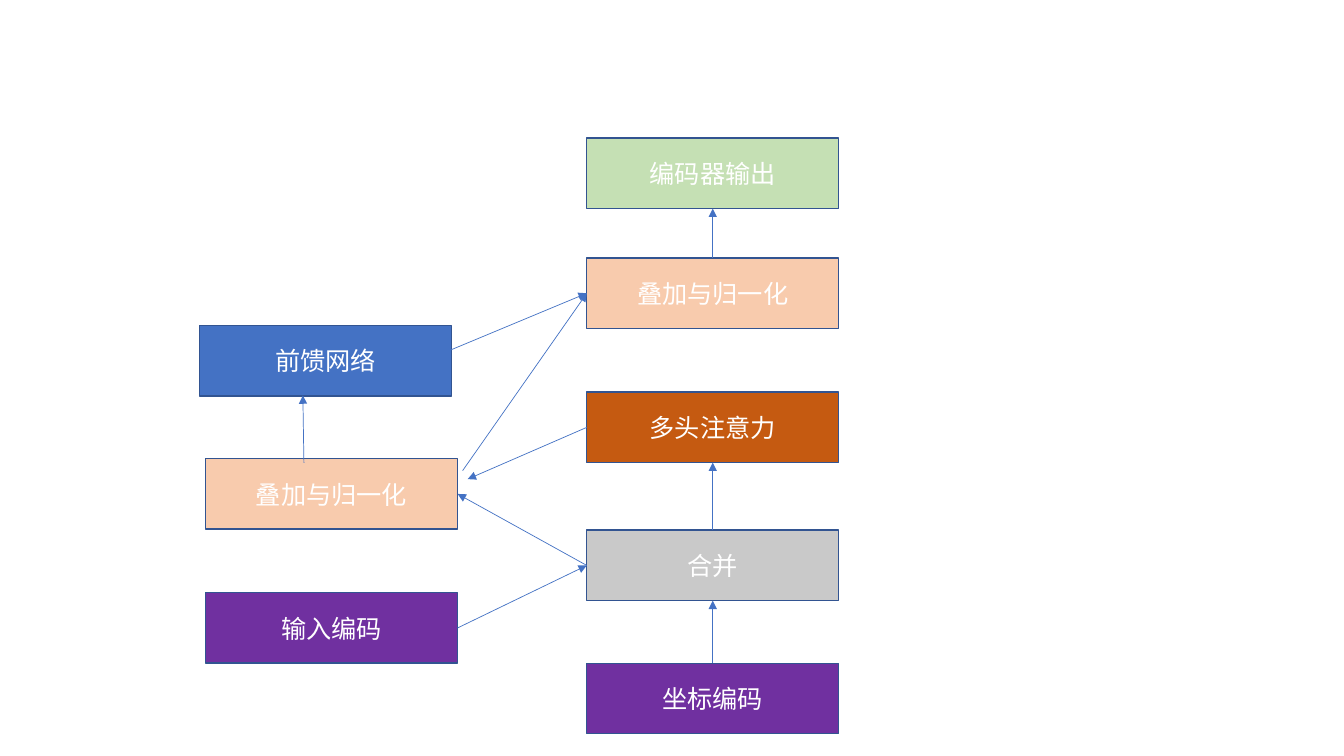
from dataclasses import dataclass
from typing import NamedTuple

from lxml import etree
from pptx import Presentation
from pptx.dml.color import RGBColor
from pptx.enum.shapes import MSO_CONNECTOR, MSO_SHAPE
from pptx.enum.text import MSO_ANCHOR, PP_ALIGN
from pptx.oxml.ns import qn
from pptx.shapes.autoshape import Shape
from pptx.slide import Slide
from pptx.util import Inches, Pt

RECTANGLE = MSO_SHAPE.RECTANGLE
STRAIGHT = MSO_CONNECTOR.STRAIGHT
MIDDLE = MSO_ANCHOR.MIDDLE
CENTER = PP_ALIGN.CENTER

SLIDE_WIDTH = Inches(13.33)
SLIDE_HEIGHT = Inches(7.5)


@dataclass(frozen=True)
class Theme:
    font: str = "Noto Sans CJK SC"
    text_size: float = 18
    text: str = "FFFFFF"
    outline: str = "325491"
    outline_width: float = 1
    arrow: str = "4472C4"
    arrow_width: float = 0.5
    encoding: str = "7030A0"
    merge: str = "C9C9C9"
    attention: str = "C55A11"
    normalization: str = "F8CBAD"
    feed_forward: str = "4472C4"
    output: str = "C5E0B4"


class Block(NamedTuple):
    name: str
    label: str
    left: float
    top: float
    fill: str


class Anchor(NamedTuple):
    across: float
    down: float


class Arrow(NamedTuple):
    source: str
    start: Anchor
    target: str
    end: Anchor


THEME = Theme()
BLOCK_WIDTH = 18.75
BLOCK_HEIGHT = 9.33
MAIN_COLUMN = 43.66
SIDE_COLUMN = 15.3
FEED_FORWARD_COLUMN = 14.85

TOP = Anchor(0.5, 0)
LEFT = Anchor(0, 0.5)
BOTTOM = Anchor(0.5, 1)
RIGHT = Anchor(1, 0.5)
CONNECTION_SITES = {TOP: 0, LEFT: 1, BOTTOM: 2, RIGHT: 3}

BLOCKS = [
    Block("position", "坐标编码", MAIN_COLUMN, 87.73, THEME.encoding),
    Block("merge", "合并", MAIN_COLUMN, 70.13, THEME.merge),
    Block("attention", "多头注意力", MAIN_COLUMN, 51.87, THEME.attention),
    Block("final_norm", "叠加与归一化", MAIN_COLUMN, 34.13, THEME.normalization),
    Block("input", "输入编码", SIDE_COLUMN, 78.4, THEME.encoding),
    Block("first_norm", "叠加与归一化", SIDE_COLUMN, 60.67, THEME.normalization),
    Block("feed_forward", "前馈网络", FEED_FORWARD_COLUMN, 43.07, THEME.feed_forward),
    Block("output", "编码器输出", MAIN_COLUMN, 18.27, THEME.output),
]

ARROWS = [
    Arrow("position", TOP, "merge", BOTTOM),
    Arrow("merge", TOP, "attention", BOTTOM),
    Arrow("input", RIGHT, "merge", LEFT),
    Arrow("merge", LEFT, "first_norm", RIGHT),
    Arrow("attention", LEFT, "first_norm", Anchor(1.04, 0.29)),
    Arrow("first_norm", Anchor(1.02, 0.17), "final_norm", LEFT),
    Arrow("final_norm", TOP, "output", BOTTOM),
    Arrow("feed_forward", Anchor(0.98, 0.37), "final_norm", LEFT),
    Arrow("first_norm", Anchor(0.39, 0.06), "feed_forward", Anchor(0.41, 0.99)),
]


def horizontal(percent: float) -> int:
    return round(SLIDE_WIDTH * percent / 100)


def vertical(percent: float) -> int:
    return round(SLIDE_HEIGHT * percent / 100)


def draw_block(slide: Slide, block: Block) -> Shape:
    shape = slide.shapes.add_shape(
        RECTANGLE,
        horizontal(block.left),
        vertical(block.top),
        horizontal(BLOCK_WIDTH),
        vertical(BLOCK_HEIGHT),
    )
    shape.shadow.inherit = False
    shape.fill.solid()
    shape.fill.fore_color.rgb = RGBColor.from_string(block.fill)
    shape.line.color.rgb = RGBColor.from_string(THEME.outline)
    shape.line.width = Pt(THEME.outline_width)
    shape.text_frame.vertical_anchor = MIDDLE
    paragraph = shape.text_frame.paragraphs[0]
    paragraph.text = block.label
    paragraph.alignment = CENTER
    paragraph.font.size = Pt(THEME.text_size)
    paragraph.font.color.rgb = RGBColor.from_string(THEME.text)
    paragraph.font.name = THEME.font
    for latin in list(paragraph._p.iter(qn("a:latin"))):
        east_asian = etree.Element(qn("a:ea"), typeface=THEME.font)
        latin.addnext(east_asian)
    return shape


def locate(shape: Shape, anchor: Anchor) -> tuple[int, int]:
    return (
        round(shape.left + shape.width * anchor.across),
        round(shape.top + shape.height * anchor.down),
    )


def draw_arrow(slide: Slide, arrow: Arrow, shapes: dict[str, Shape]) -> None:
    source, target = shapes[arrow.source], shapes[arrow.target]
    connector = slide.shapes.add_connector(
        STRAIGHT, *locate(source, arrow.start), *locate(target, arrow.end)
    )
    if arrow.start in CONNECTION_SITES:
        connector.begin_connect(source, CONNECTION_SITES[arrow.start])
    if arrow.end in CONNECTION_SITES:
        connector.end_connect(target, CONNECTION_SITES[arrow.end])
    connector.line.color.rgb = RGBColor.from_string(THEME.arrow)
    connector.line.width = Pt(THEME.arrow_width)
    line = connector.line._get_or_add_ln()
    etree.SubElement(line, qn("a:tailEnd"), type="triangle")
    etree.SubElement(connector._element.spPr, qn("a:effectLst"))


def main() -> None:
    presentation = Presentation()
    presentation.slide_width = SLIDE_WIDTH
    presentation.slide_height = SLIDE_HEIGHT
    slide = presentation.slides.add_slide(presentation.slide_layouts[6])
    shapes = {block.name: draw_block(slide, block) for block in BLOCKS}
    for arrow in ARROWS:
        draw_arrow(slide, arrow, shapes)
    presentation.save("out.pptx")


main()
